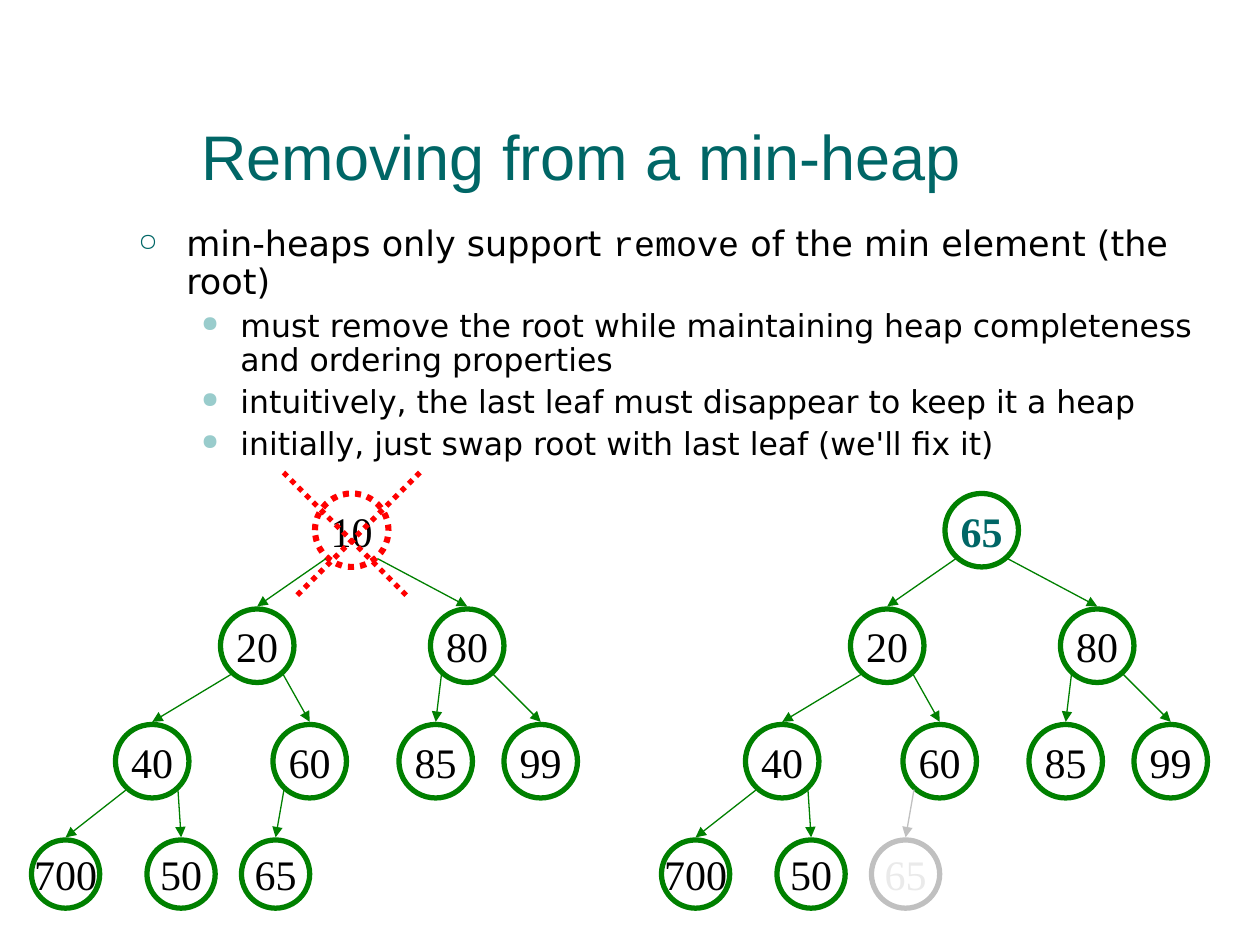
"""Build a slide on removing the root of a min-heap."""
from lxml.etree import SubElement as Sub
from pptx import Presentation
from pptx.dml.color import RGBColor
from pptx.enum.dml import MSO_LINE as Dash
from pptx.enum.shapes import MSO_CONNECTOR as Conn, MSO_SHAPE as Kind
from pptx.enum.text import MSO_ANCHOR as Anchor, PP_ALIGN as Align
from pptx.oxml.ns import qn
from pptx.util import Inches, Pt

hue = RGBColor.from_string
GREEN, TEAL, RED, GRAY = "008000", "006666", "FF0000", "C0C0C0"
COLS, ROWS = 120, 90

deck = Presentation()
deck.slide_width, deck.slide_height = Inches(10), Inches(7.5)
col, row = deck.slide_width / COLS, deck.slide_height / ROWS
slide = deck.slides.add_slide(deck.slide_layouts[6])
shapes = slide.shapes


def style(font, color, **form):
    font.color.rgb = hue(color)
    for key, val in form.items():
        setattr(font, key, val)


def link(x1, y1, x2, y2, color, width, dash=None):
    line = shapes.add_connector(
        Conn.STRAIGHT, *(int(v) for v in (x1 * col, y1 * row, x2 * col, y2 * row)))
    style(line.line, color, width=Pt(width), dash_style=dash)
    Sub(line._element.spPr, qn("a:effectLst"))
    return line


title = shapes.add_textbox(int(18 * col), int(4 * row), int(96 * col), int(15 * row))
frame = title.text_frame
frame.word_wrap, frame.vertical_anchor = True, Anchor.BOTTOM
run = frame.paragraphs[0].add_run()
run.text = "Removing from a min-heap"
style(run.font, TEAL, size=Pt(36), name="Arial")

SANS, MONO = "DejaVu Sans", "Courier New"
LEVELS = [
    dict(size=20, gap=0, left=0.38, hang=-0.38, mark="○", tint=TEAL),
    dict(size=18, gap=4.5, left=0.81, hang=-0.31, mark="●", tint="99CCCC"),
]
POINTS = [
    (0, [("min-heaps only support ", SANS), ("remove", MONO),
         (" of the min element (the root)", SANS)]),
    (1, [("must remove the root while maintaining heap completeness "
          "and ordering properties", SANS)]),
    (1, [("intuitively, the last leaf must disappear to keep it a heap", SANS)]),
    (1, [("initially, just swap root with last leaf (we'll fix it)", SANS)]),
]
body = shapes.add_textbox(int(12 * col), int(21 * row), int(104 * col), int(54 * row))
frame = body.text_frame
frame.word_wrap = True
for i, (rank, parts) in enumerate(POINTS):
    para = frame.add_paragraph() if i else frame.paragraphs[0]
    form = LEVELS[rank]
    para.level, para.line_spacing = rank, 0.9
    para.space_before = Pt(form["gap"])
    props = para._p.get_or_add_pPr()
    props.set("marL", str(Inches(form["left"])))
    props.set("indent", str(Inches(form["hang"])))
    Sub(Sub(props, qn("a:buClr")), qn("a:srgbClr"), val=form["tint"])
    Sub(props, qn("a:buSzPct"), val="70000")
    Sub(props, qn("a:buChar"), char=form["mark"])
    for text, face in parts:
        run = para.add_run()
        run.text = text
        style(run.font, "000000", size=Pt(form["size"]), name=face)

TOP, STEP = 47, 11
NODES = {
    "root": (30, 0), "20": (21, 1), "80": (41, 1),
    "40": (11, 2), "60": (26, 2), "85": (38, 2), "99": (48, 2),
    "700": (3, 3), "50": (14, 3), "last": (23, 3),
}
EDGES = [
    ("root", "20", "left"), ("root", "80", "right"),
    ("20", "40", "left"), ("20", "60", "right"),
    ("80", "85", "left"), ("80", "99", "right"),
    ("40", "700", "left"), ("40", "50", "right"), ("60", "last", "left"),
]
SIDE = {"left": 1.05, "right": 5.95}
SIZES = [7, 7, 7, 6.5]
PLAIN = dict(edge=GREEN, ink="000000", bold=False, width=3, dash=None, arm=GREEN)
TREES = [
    (0, {"root": dict(text="10", edge=RED, width=3.5, dash=Dash.ROUND_DOT),
         "last": dict(text="65")}),
    (60, {"root": dict(text="65", ink=TEAL, bold=True),
          "last": dict(text="65", edge=GRAY, ink="EAEAEA", arm=GRAY)}),
]
for shift, special in TREES:
    for name, (x, depth) in NODES.items():
        form = {**PLAIN, "text": name, **special.get(name, {})}
        size = SIZES[depth]
        node = shapes.add_shape(
            Kind.OVAL, int((x + shift) * col), int((TOP + depth * STEP) * row),
            int(size * col), int(size * row))
        node.shadow.inherit = False
        node.fill.background()
        style(node.line, form["edge"], width=Pt(form["width"]), dash_style=form["dash"])
        frame = node.text_frame
        frame.word_wrap, frame.vertical_anchor = False, Anchor.MIDDLE
        para = frame.paragraphs[0]
        para.alignment = Align.CENTER
        run = para.add_run()
        run.text = form["text"]
        style(run.font, form["ink"], size=Pt(24), name="Times New Roman",
              bold=form["bold"])
    for top, low, side in EDGES:
        (x1, d1), (x2, d2) = NODES[top], NODES[low]
        form = {**PLAIN, **special.get(low, {})}
        line = link(x1 + shift + SIDE[side], TOP + d1 * STEP + 6.2,
                    x2 + shift + SIZES[d2] / 2, TOP + d2 * STEP - 0.25,
                    form["arm"], 0.75)
        Sub(line.line._get_or_add_ln(), qn("a:tailEnd"), type="triangle")

for start, end in [(27, 39), (40, 28)]:
    link(start, 45, end, 57, RED, 3, Dash.ROUND_DOT)

deck.save("out.pptx")
